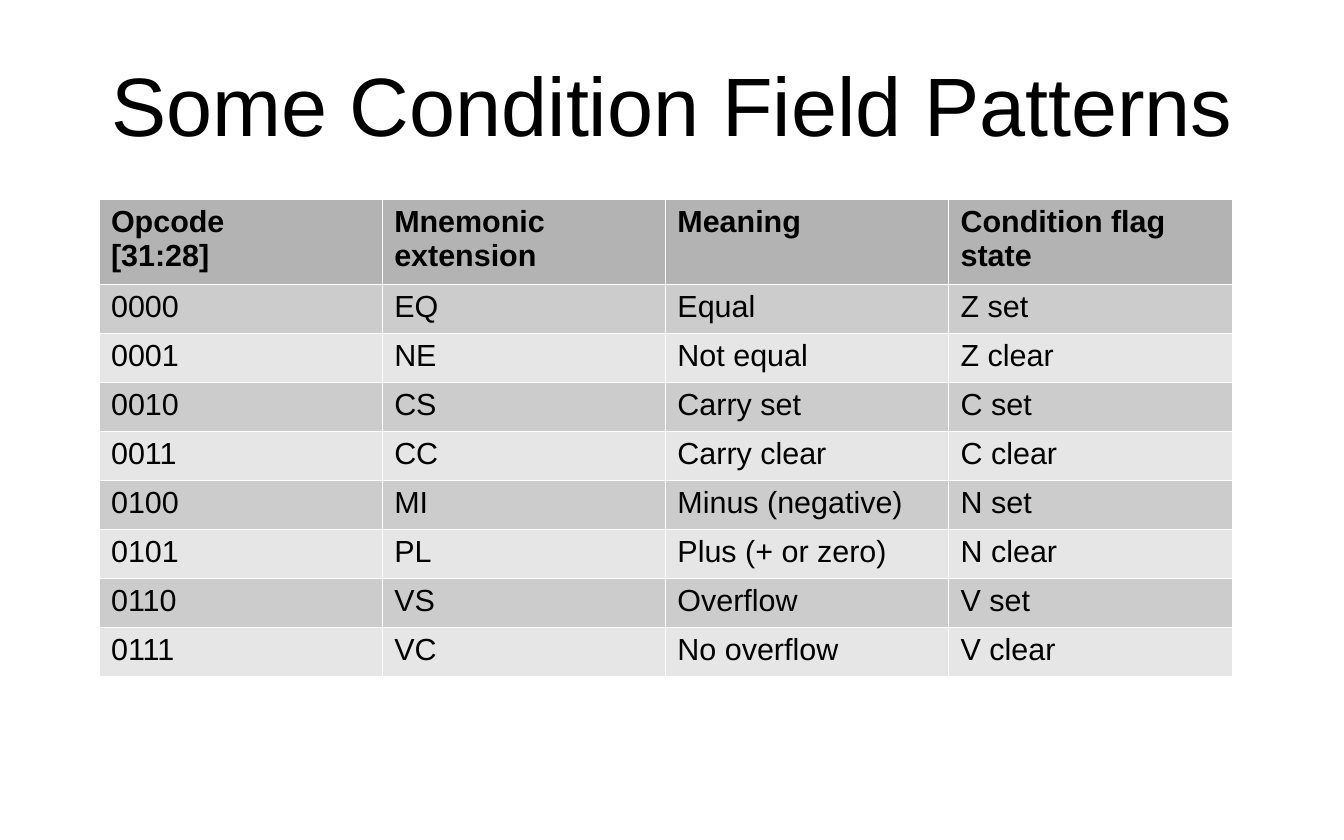
from lxml import etree
from pptx import Presentation
from pptx import util as u
from pptx.dml.color import RGBColor
from pptx.enum import text
from pptx.oxml import ns

COLORS = {
    "ink": "000000",
    "header": "B3B3B3",
    "odd": "CCCCCC",
    "even": "E6E6E6",
    "grid": "FFFFFF",
}


class SlideBuilder:
    font = "Arial"
    body_size = 18
    title_size = 48.9
    grid_width = u.Pt(0.06)

    def __init__(self, slide):
        self.slide = slide

    def format_text(self, frame, size, bold=False):
        for paragraph in frame.paragraphs:
            for run in paragraph.runs:
                run.font.name = self.font
                run.font.size = u.Pt(size)
                run.font.bold = bold
                run.font.color.rgb = RGBColor.from_string(COLORS["ink"])

    def title(self, wording, left, top, width, height):
        box = self.slide.shapes.add_textbox(left, top, width, height)
        frame = box.text_frame
        frame.word_wrap = True
        frame.vertical_anchor = text.MSO_ANCHOR.MIDDLE
        frame.margin_left = frame.margin_right = 0
        frame.margin_top = frame.margin_bottom = 0
        frame.text = wording
        frame.paragraphs[0].alignment = text.PP_ALIGN.CENTER
        self.format_text(frame, self.title_size)

    def borders(self, cell):
        properties = cell._tc.get_or_add_tcPr()
        for side in ("a:lnL", "a:lnR", "a:lnT", "a:lnB"):
            line = etree.SubElement(properties, ns.qn(side), w=str(self.grid_width))
            fill = etree.SubElement(line, ns.qn("a:solidFill"))
            etree.SubElement(fill, ns.qn("a:srgbClr"), val=COLORS["grid"])

    def cell(self, cell, wording, color, bold):
        cell.text = wording
        self.format_text(cell.text_frame, self.body_size, bold)
        self.borders(cell)
        cell.fill.solid()
        cell.fill.fore_color.rgb = RGBColor.from_string(COLORS[color])

    def table(self, rows, left, top, column_width, header_height, row_height):
        columns = len(rows[0])
        height = header_height + row_height * (len(rows) - 1)
        table = self.slide.shapes.add_table(
            len(rows), columns, left, top, column_width * columns, height
        ).table
        for column in table.columns:
            column.width = column_width
        for index, wordings in enumerate(rows):
            is_header = index == 0
            table.rows[index].height = header_height if is_header else row_height
            color = "header" if is_header else "odd" if index % 2 else "even"
            for column, wording in enumerate(wordings):
                self.cell(table.cell(index, column), wording, color, is_header)


presentation = Presentation()
presentation.slide_width = u.Cm(28)
presentation.slide_height = u.Cm(17.5)
builder = SlideBuilder(presentation.slides.add_slide(presentation.slide_layouts[6]))

builder.title(
    "Some Condition Field Patterns", u.Cm(1.4), u.Cm(1.12), u.Cm(25.2), u.Cm(2.06)
)

condition_fields = [
    ("Opcode\n[31:28]", "Mnemonic\nextension", "Meaning", "Condition flag state"),
    ("0000", "EQ", "Equal", "Z set"),
    ("0001", "NE", "Not equal", "Z clear"),
    ("0010", "CS", "Carry set", "C set"),
    ("0011", "CC", "Carry clear", "C clear"),
    ("0100", "MI", "Minus (negative)", "N set"),
    ("0101", "PL", "Plus (+ or zero)", "N clear"),
    ("0110", "VS", "Overflow", "V set"),
    ("0111", "VC", "No overflow", "V clear"),
]
builder.table(
    condition_fields, u.Cm(2.06), u.Cm(4.14), u.Cm(5.9), u.Cm(1.78), u.Cm(1.02)
)

presentation.save("out.pptx")
